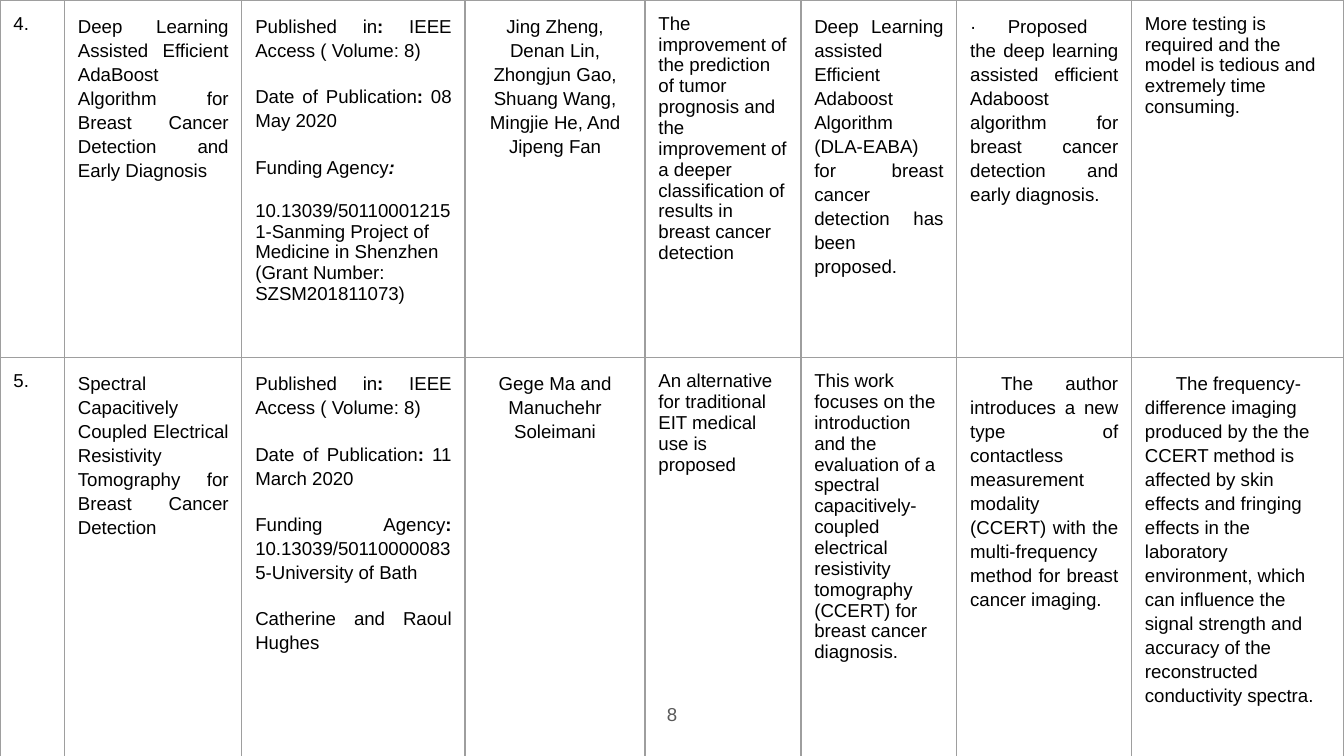
from dataclasses import dataclass

from lxml import etree
from pptx import Presentation
from pptx import util as u
from pptx.dml.color import RGBColor
from pptx.enum import text
from pptx.oxml import ns


@dataclass(frozen=True)
class Theme:
    font: str = "Arial"
    size: float = 10
    ink: str = "000000"
    muted: str = "595959"
    rule: str = "9E9E9E"
    rule_width: float = 0.75
    margin: float = 0.1
    loose: float = 1.15
    gap: float = 12


theme = Theme()
LEFT, CENTER, JUSTIFY = text.PP_ALIGN.LEFT, text.PP_ALIGN.CENTER, text.PP_ALIGN.JUSTIFY


def write(frame, paragraphs, align=LEFT, spacing=None, indent=0, tab=0, color=theme.ink):
    """Each paragraph is a string, or a list of (text, marks) with marks from "b" and "i"."""
    for number, content in enumerate(paragraphs):
        paragraph = frame.paragraphs[0] if number == 0 else frame.add_paragraph()
        runs = [(content, "")] if isinstance(content, str) else content
        # A long identifier reads better ragged and tightly set
        ragged = isinstance(content, str) and content.startswith("10.")
        paragraph.alignment = LEFT if ragged else align
        paragraph.line_spacing = None if ragged else spacing
        if number:
            paragraph.space_before = u.Pt(theme.gap)
        properties = paragraph._p.get_or_add_pPr()
        if indent:
            properties.set("indent", str(u.Inches(indent)))
        if tab:
            stops = etree.SubElement(properties, ns.qn("a:tabLst"))
            etree.SubElement(stops, ns.qn("a:tab"), pos=str(u.Inches(tab)), algn="l")
        for words, marks in runs:
            run = paragraph.add_run()
            run.text = words
            run.font.name = theme.font
            run.font.size = u.Pt(theme.size)
            run.font.bold = "b" in marks
            run.font.italic = "i" in marks
            run.font.color.rgb = RGBColor.from_string(color)


def draw_borders(cell):
    properties = cell._tc.get_or_add_tcPr()
    for place, side in enumerate(("lnL", "lnR", "lnT", "lnB")):
        line = etree.Element(ns.qn(f"a:{side}"), w=str(u.Pt(theme.rule_width)))
        fill = etree.SubElement(line, ns.qn("a:solidFill"))
        etree.SubElement(fill, ns.qn("a:srgbClr"), val=theme.rule)
        properties.insert(place, line)


# Slide
deck = Presentation()
deck.slide_width = u.Inches(10)
deck.slide_height = deck.slide_width * 9 // 16
slide = deck.slides.add_slide(deck.slide_layouts[6])

# Survey content: number, title, publication, authors, aim, method, contribution, limits
published = [("Published in", ""), (": ", "b"), ("IEEE Access ( Volume: 8)", "")]
plain = {}
justified = dict(align=JUSTIFY, spacing=theme.loose)
centered = dict(align=CENTER, spacing=theme.loose)
formats = [plain, justified, justified, centered, plain]

adaboost_study = [
    ["4."],
    ["Deep Learning Assisted Efficient AdaBoost Algorithm for Breast Cancer Detection "
     "and Early Diagnosis"],
    [published,
     [("Date of Publication", ""), (":", "b"), (" 08 May 2020", "")],
     [("Funding Agency", ""), (":", "bi")],
     "10.13039/501100012151-Sanming Project of Medicine in Shenzhen "
     "(Grant Number: SZSM201811073)"],
    ["Jing Zheng, Denan Lin, Zhongjun Gao, Shuang Wang, Mingjie He, And Jipeng Fan"],
    ["The improvement of the prediction of tumor prognosis and the improvement of a deeper "
     "classification of results in breast cancer detection"],
    ["Deep Learning assisted Efficient Adaboost Algorithm (DLA-EABA) for breast cancer "
     "detection has been proposed."],
    ["·\tProposed the deep learning assisted efficient Adaboost algorithm for breast cancer "
     "detection and early diagnosis."],
    ["More testing is required and the model is tedious and extremely time consuming."],
]
tomography_study = [
    ["5."],
    ["Spectral Capacitively Coupled Electrical Resistivity Tomography for Breast Cancer "
     "Detection"],
    [published,
     [("Date of Publication", ""), (":", "b"), (" 11 March 2020", "")],
     [("Funding Agency", ""), (": ", "b"), ("10.13039/501100000835-University of Bath", "")],
     "Catherine and Raoul Hughes"],
    ["Gege Ma and Manuchehr Soleimani"],
    ["An alternative for traditional EIT medical use is proposed"],
    ["This work focuses on the introduction and the evaluation of a spectral "
     "capacitively-coupled electrical resistivity tomography (CCERT) for breast cancer "
     "diagnosis."],
    ["The author introduces a new type of contactless measurement modality (CCERT) with the "
     "multi-frequency method for breast cancer imaging."],
    ["The frequency-difference imaging produced by the the CCERT method is affected by skin "
     "effects and fringing effects in the laboratory environment, which can influence the "
     "signal strength and accuracy of the reconstructed conductivity spectra."],
]
studies = [
    (adaboost_study, formats + [justified, dict(justified, tab=0.28), plain]),
    (tomography_study, formats + [plain, dict(justified, indent=0.23),
                                  dict(spacing=theme.loose, indent=0.23)]),
]

# Survey table, filling the slide
column_widths = [0.48, 1.32, 1.66, 1.34, 1.16, 1.16, 1.3, 1.58]
row_heights = [2.66, 2.97]
survey = slide.shapes.add_table(
    len(row_heights), len(column_widths), 0, 0,
    u.Inches(sum(column_widths)), u.Inches(sum(row_heights))).table
survey.first_row = survey.horz_banding = False
for column, width in zip(survey.columns, column_widths):
    column.width = u.Inches(width)
for row, height, (study, styles) in zip(survey.rows, row_heights, studies):
    row.height = u.Inches(height)
    for cell, paragraphs, style in zip(row.cells, study, styles):
        cell.margin_left = cell.margin_right = u.Inches(theme.margin)
        cell.margin_top = cell.margin_bottom = u.Inches(theme.margin)
        cell.fill.background()
        draw_borders(cell)
        write(cell.text_frame, paragraphs, **style)

# Page number, centred near the foot
page_width = u.Inches(0.6)
page = slide.shapes.add_textbox((deck.slide_width - page_width) // 2, u.Inches(5.1),
                                page_width, u.Inches(0.43)).text_frame
page.word_wrap = True
page.vertical_anchor = text.MSO_ANCHOR.MIDDLE
page.margin_left = page.margin_right = u.Inches(theme.margin)
page.margin_top = page.margin_bottom = u.Inches(theme.margin)
write(page, ["8"], align=CENTER, color=theme.muted)

deck.save("out.pptx")
